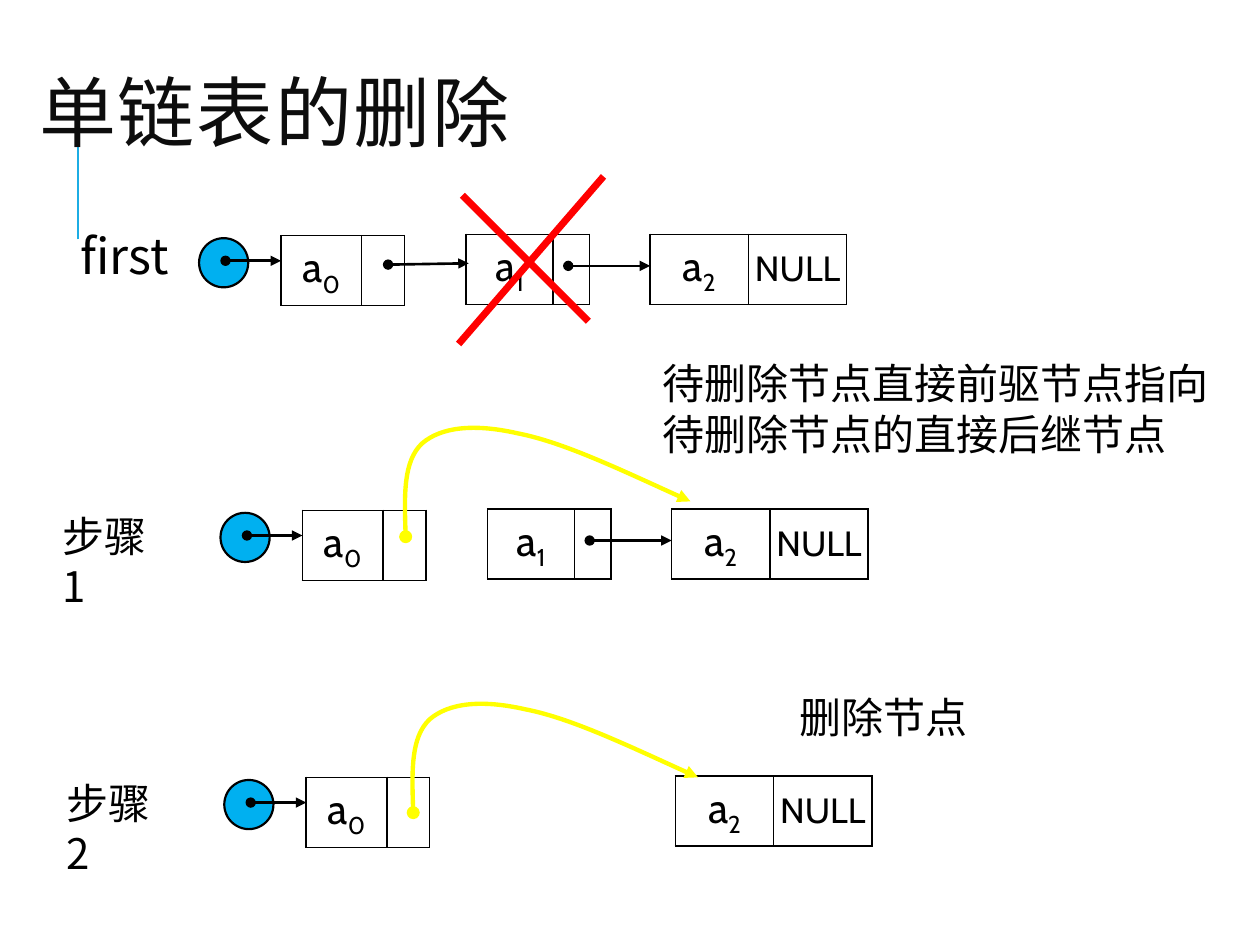
from lxml.etree import SubElement
from pptx import Presentation
from pptx.dml.color import RGBColor
from pptx.enum.shapes import MSO_CONNECTOR, MSO_SHAPE
from pptx.enum.text import MSO_ANCHOR, MSO_AUTO_SIZE, PP_ALIGN
from pptx.oxml.ns import qn
from pptx.util import Inches, Pt

CHINESE, LATIN = "Noto Sans CJK SC", "Cabin"
BLACK, BLUE, RED, YELLOW = "000000", "00B0F0", "FF0000", "FFFF00"

TITLE = ("单链表的删除", (0.21, 0.2, 8.4, 1.5))
LABELS = [
    ("first", (0.54, 1.74, 1.22, 0.57), 28),
    ("步骤1", (0.4, 4, 1.03, 0.5), 24),
    ("步骤2", (0.43, 6.12, 1.03, 0.5), 24),
    ("待删除节点直接前驱节点指向待删除节点的直接后继节点", (5.16, 2.79, 4.55, 0.91), 24),
    ("删除节点", (6.25, 5.44, 3.27, 0.5), 24),
]
NODES = {
    "0": {"left": 2.23, "top": 1.87, "widths": (0.64, 0.34), "link": ""},
    "1": {"left": 3.7, "top": 1.86, "widths": (0.69, 0.29), "link": ""},
    "2": {"left": 5.16, "top": 1.86, "widths": (0.78, 0.78), "link": "NULL"},
}
HEAD_CIRCLE = (1.58, 1.89, 0.39)
LINKS = {
    "first": ((1.79, 2.07), (2.23, 2.07)),
    "0": ((3.08, 2.1), (3.72, 2.09)),
    "1": ((4.51, 2.11), (5.16, 2.11)),
}
LISTS = [
    {"shift": (0, 0), "nodes": "012", "links": ("first", "0", "1")},
    {"shift": (0.17, 2.18), "nodes": "012", "links": ("first", "1")},
    {"shift": (0.2, 4.3), "nodes": "02", "links": ("first",)},
]
CROSS = [((4.79, 1.4), (3.64, 2.73)), ((3.67, 1.55), (4.67, 2.55))]
BYPASS = [
    (3.22, 4.26), (3.21, 3.96), (3.2, 3.66), (3.35, 3.52), (3.5, 3.39),
    (3.76, 3.36), (4.11, 3.44), (4.47, 3.51), (4.97, 3.75), (5.48, 3.98),
]
BYPASS_SHIFTS = [(0, 0), (0.06, 2.19)]


def color(value):
    return RGBColor.from_string(value)


def apply(target, values):
    for name, value in values.items():
        setattr(target, name, value)


def write(para, text, size, family, tint=BLACK, **extras):
    span = para.add_run()
    span.text = text
    apply(span.font, {"size": Pt(size), "name": family})
    span.font.color.rgb = color(tint)
    properties = span.font._element
    SubElement(properties, qn("a:ea")).set("typeface", family)
    for name, value in extras.items():
        properties.set(name, str(value))


def style_line(shape, tint, width, arrow=False):
    shape.line.color.rgb = color(tint)
    shape.line.width = Pt(width)
    if arrow:
        outline = shape.line._get_or_add_ln()
        for tag, kind in (("a:headEnd", "oval"), ("a:tailEnd", "triangle")):
            SubElement(outline, qn(tag)).set("type", kind)


def add_line(page, start, end, tint, width, arrow=False):
    line = page.shapes.add_connector(
        MSO_CONNECTOR.STRAIGHT, *map(Inches, start + end))
    style_line(line, tint, width, arrow)
    SubElement(line._element.spPr, qn("a:effectLst"))
    return line


def add_title(page):
    text, area = TITLE
    title = page.shapes.title
    apply(title, dict(zip(("left", "top", "width", "height"), map(Inches, area))))
    apply(title.text_frame, {"vertical_anchor": MSO_ANCHOR.MIDDLE,
                             "word_wrap": True, "auto_size": MSO_AUTO_SIZE.NONE})
    para = title.text_frame.paragraphs[0]
    apply(para, {"alignment": PP_ALIGN.LEFT, "line_spacing": 0.8})
    write(para, text, 44, CHINESE, "0D0D0D", spc=100)
    accent = add_line(page, (0.62, 1.9), (0.62, 0.9), "1CADE4", 1.5)
    title._element.addprevious(accent._element)


def add_label(page, text, area, size):
    box = page.shapes.add_textbox(*map(Inches, area))
    apply(box.text_frame, {"word_wrap": True,
                           "auto_size": MSO_AUTO_SIZE.SHAPE_TO_FIT_TEXT})
    write(box.text_frame.paragraphs[0], text, size, CHINESE)


def add_border(cell):
    properties = cell._tc.get_or_add_tcPr()
    for index, side in enumerate(("a:lnL", "a:lnR", "a:lnT", "a:lnB")):
        edge = SubElement(properties, qn(side), w=str(Pt(1)))
        properties.insert(index, edge)
        fill = SubElement(edge, qn("a:solidFill"))
        SubElement(fill, qn("a:srgbClr"), val=BLACK)


def add_node(page, name, shift):
    node = NODES[name]
    widths = node["widths"]
    frame = page.shapes.add_table(
        1, 2, Inches(node["left"] + shift[0]), Inches(node["top"] + shift[1]),
        Inches(sum(widths)), Inches(0.5))
    table = frame.table
    apply(table, {"first_row": False, "horz_banding": False})
    for column, width in zip(table.columns, widths):
        column.width = Inches(width)
    for cell in table.iter_cells():
        cell.fill.background()
        cell.vertical_anchor = MSO_ANCHOR.MIDDLE
        cell.text_frame.paragraphs[0].alignment = PP_ALIGN.CENTER
        add_border(cell)
    data, link = table.iter_cells()
    para = data.text_frame.paragraphs[0]
    write(para, "a", 24, LATIN)
    write(para, name, 24, LATIN, baseline=-25000)
    if node["link"]:
        apply(link, {"margin_left": 0, "margin_right": 0})
        write(link.text_frame.paragraphs[0], node["link"], 20, LATIN)


def moved(point, shift):
    return point[0] + shift[0], point[1] + shift[1]


def add_list(page, shift, nodes, links):
    for name in nodes:
        add_node(page, name, shift)
    left, top, size = HEAD_CIRCLE
    circle = page.shapes.add_shape(
        MSO_SHAPE.OVAL, *map(Inches, moved((left, top), shift) + (size, size)))
    circle.shadow.inherit = False
    circle.fill.solid()
    circle.fill.fore_color.rgb = color(BLUE)
    style_line(circle, BLACK, 1.25)
    for name in links:
        start, end = (moved(point, shift) for point in LINKS[name])
        add_line(page, start, end, BLACK, 1.5, arrow=True)


def add_bypass(page, shift):
    points = [tuple(map(Inches, moved(point, shift))) for point in BYPASS]
    builder = page.shapes.build_freeform(*points[0])
    builder.add_line_segments(points[1:], close=False)
    curve = builder.convert_to_shape()
    segments = list(curve._element.iter(qn("a:lnTo")))
    for first in range(0, len(segments), 3):
        bezier = SubElement(segments[first].getparent(), qn("a:cubicBezTo"))
        for segment in segments[first:first + 3]:
            bezier.append(segment[0])
            segment.getparent().remove(segment)
    curve.shadow.inherit = False
    curve.fill.background()
    style_line(curve, YELLOW, 2.5, arrow=True)


def main():
    deck = Presentation()
    apply(deck, {"slide_width": Inches(10), "slide_height": Inches(7.5)})
    page = deck.slides.add_slide(deck.slide_layouts[5])
    add_title(page)
    for label in LABELS:
        add_label(page, *label)
    for chain in LISTS:
        add_list(page, **chain)
    for start, end in CROSS:
        add_line(page, start, end, RED, 4)
    for shift in BYPASS_SHIFTS:
        add_bypass(page, shift)
    deck.save("out.pptx")


if __name__ == "__main__":
    main()
